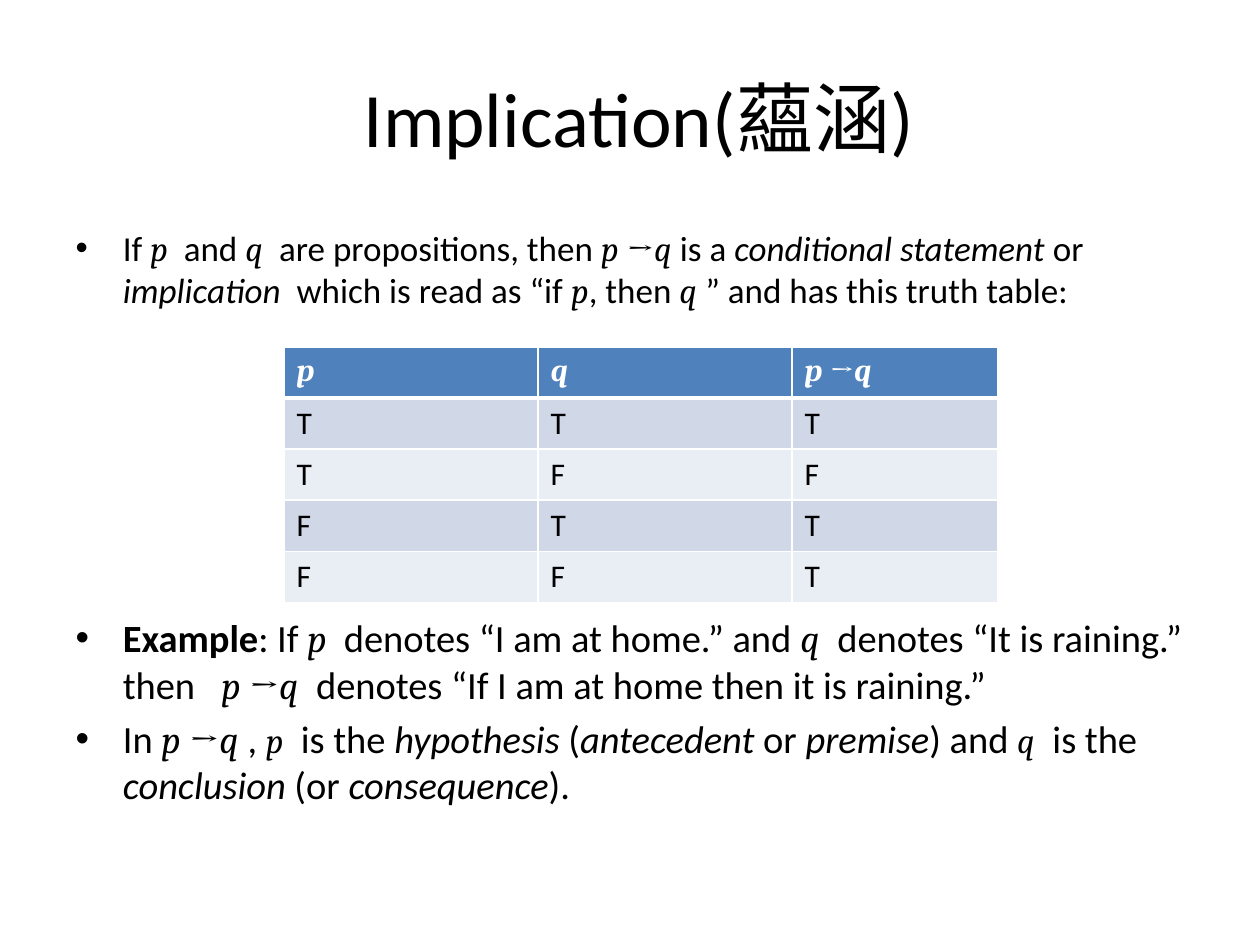
from collections import namedtuple

from lxml.etree import SubElement
from pptx import Presentation
from pptx.dml.color import RGBColor
from pptx.enum.text import MSO_ANCHOR, PP_ALIGN
from pptx.oxml.ns import qn
from pptx.util import Emu, Pt

PX_PER_INCH = 126
BLACK = RGBColor(0x00, 0x00, 0x00)
WHITE = RGBColor(0xFF, 0xFF, 0xFF)
HEADER_BLUE = RGBColor(0x4F, 0x81, 0xBD)
BANDS = (RGBColor(0xD0, 0xD8, 0xE8), RGBColor(0xE9, 0xED, 0xF4))

RunStyle = namedtuple("RunStyle", "font bold italic size", defaults=(False, False, None))
PLAIN = RunStyle("Calibri")
ITALIC = RunStyle("Calibri", italic=True)
BOLD = RunStyle("Calibri", bold=True)
VARIABLE = RunStyle("Cambria", italic=True)
SMALL_VARIABLE = VARIABLE._replace(size=20)
ARROW = RunStyle("Cambria")

P, Q = ("p", VARIABLE), ("q", VARIABLE)
SMALL_P, SMALL_Q = ("p", SMALL_VARIABLE), ("q", SMALL_VARIABLE)
P_IMPLIES_Q = [("p ", VARIABLE), ("→", ARROW), Q]

DEFINITION = [
    ("If ", PLAIN), P, ("  and ", PLAIN), Q, ("  are propositions, then ", PLAIN),
    *P_IMPLIES_Q, (" is a ", PLAIN), ("conditional statement ", ITALIC), ("or ", PLAIN),
    ("implication ", ITALIC), (" which is read as “if ", PLAIN), P, (", then ", PLAIN), Q,
    (" ” and has this truth table:", PLAIN),
]
EXAMPLE = [
    ("Example", BOLD), (": If ", PLAIN), P, ("  denotes “I am at home.” and ", PLAIN), Q,
    ("  denotes “It is raining.” then   ", PLAIN), *P_IMPLIES_Q,
    ("  denotes “If I am at home then it is raining.”", PLAIN),
]
TERMS = [
    ("In ", PLAIN), *P_IMPLIES_Q, (" , ", PLAIN), SMALL_P, ("  is the ", PLAIN),
    ("hypothesis", ITALIC), (" (", PLAIN), ("antecedent", ITALIC), (" or ", PLAIN),
    ("premise", ITALIC), (") and ", PLAIN), SMALL_Q, ("  is the ", PLAIN),
    ("conclusion", ITALIC), (" (or ", PLAIN), ("consequence", ITALIC), (").", PLAIN),
]
# Runs, text size in points, space before in px (the first gap holds the table)
BULLETS = [(DEFINITION, 20, 0), (EXAMPLE, 22, 304), (TERMS, 22, 8)]
TABLE_HEADER = [[P], [Q], P_IMPLIES_Q]
TRUTH_ROWS = ["TTT", "TFF", "FTT", "FFT"]


def px(length):
    return Emu(round(length * 914400 / PX_PER_INCH))


class SlideBuilder:
    def __init__(self, slide):
        self.slide = slide

    def place(self, shape, left, top, width, height):
        shape.left, shape.top = px(left), px(top)
        shape.width, shape.height = px(width), px(height)

    def add_runs(self, paragraph, runs, size, color=BLACK, bold=False):
        for text, style in runs:
            run = paragraph.add_run()
            run.text = text
            font = run.font
            font.name = style.font
            font.size = Pt(style.size or size)
            font.bold = bold or style.bold
            font.italic = style.italic
            font.color.rgb = color

    def title(self, text, box):
        shape = self.slide.shapes.title
        self.place(shape, *box)
        shape.text_frame.vertical_anchor = MSO_ANCHOR.MIDDLE
        paragraph = shape.text_frame.paragraphs[0]
        paragraph.alignment = PP_ALIGN.CENTER
        self.add_runs(paragraph, [(text, PLAIN)], 44)

    def bullets(self, items, box):
        shape = self.slide.placeholders[1]
        self.place(shape, *box)
        frame = shape.text_frame
        for index, (runs, size, gap) in enumerate(items):
            paragraph = frame.add_paragraph() if index else frame.paragraphs[0]
            paragraph.space_before = Pt(round(px(gap).pt, 1))
            self.add_runs(paragraph, runs, size)

    def border(self, cell, side, width):
        line = SubElement(cell._tc.get_or_add_tcPr(), qn(f"a:ln{side}"), w=str(Pt(width)))
        fill = SubElement(line, qn("a:solidFill"))
        SubElement(fill, qn("a:srgbClr"), val=str(WHITE))

    def cell(self, cell, runs, fill, is_header, below_header):
        for side in "LRTB":
            thick = (is_header and side == "B") or (below_header and side == "T")
            self.border(cell, side, 3 if thick else 1)
        cell.fill.solid()
        cell.fill.fore_color.rgb = fill
        self.add_runs(cell.text_frame.paragraphs[0], runs, 18,
                      WHITE if is_header else BLACK, bold=is_header)

    def table(self, header, rows, left, top, column_widths, row_height):
        contents = [header] + [[[(value, PLAIN)] for value in row] for row in rows]
        table = self.slide.shapes.add_table(
            len(contents), len(column_widths), px(left), px(top),
            px(sum(column_widths)), px(row_height * len(contents))).table
        for column, width in zip(table.columns, column_widths):
            column.width = px(width)
        for row_index, row in enumerate(contents):
            table.rows[row_index].height = px(row_height)
            fill = BANDS[(row_index - 1) % 2] if row_index else HEADER_BLUE
            for column_index, runs in enumerate(row):
                self.cell(table.cell(row_index, column_index), runs, fill,
                          row_index == 0, row_index == 1)


def main():
    presentation = Presentation()
    presentation.slide_width, presentation.slide_height = px(1260), px(945)
    builder = SlideBuilder(presentation.slides.add_slide(presentation.slide_layouts[1]))
    builder.title(" Implication(蘊涵)", (63, 38, 1134, 158))
    builder.bullets(BULLETS, (63, 220, 1134, 624))
    builder.table(TABLE_HEADER, TRUTH_ROWS, 284, 347, (254, 254, 206), 51)
    presentation.save("out.pptx")


if __name__ == "__main__":
    main()
